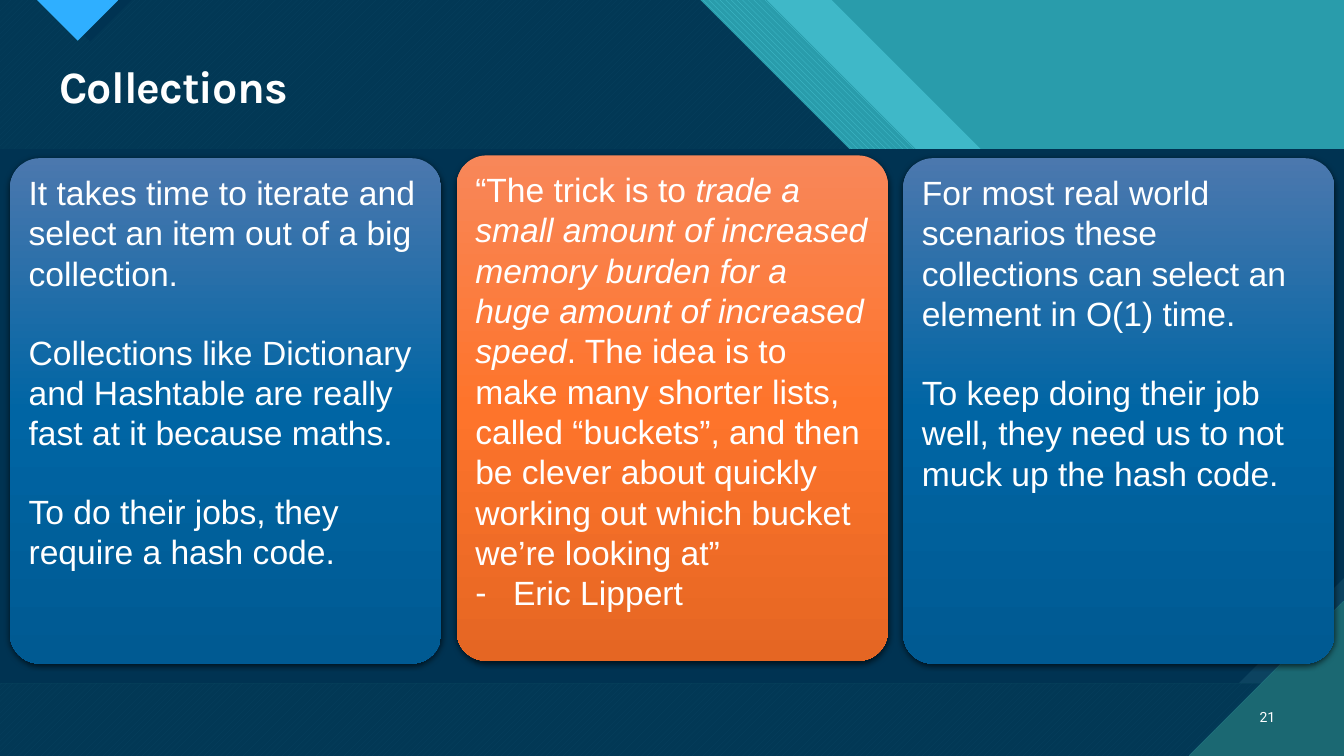
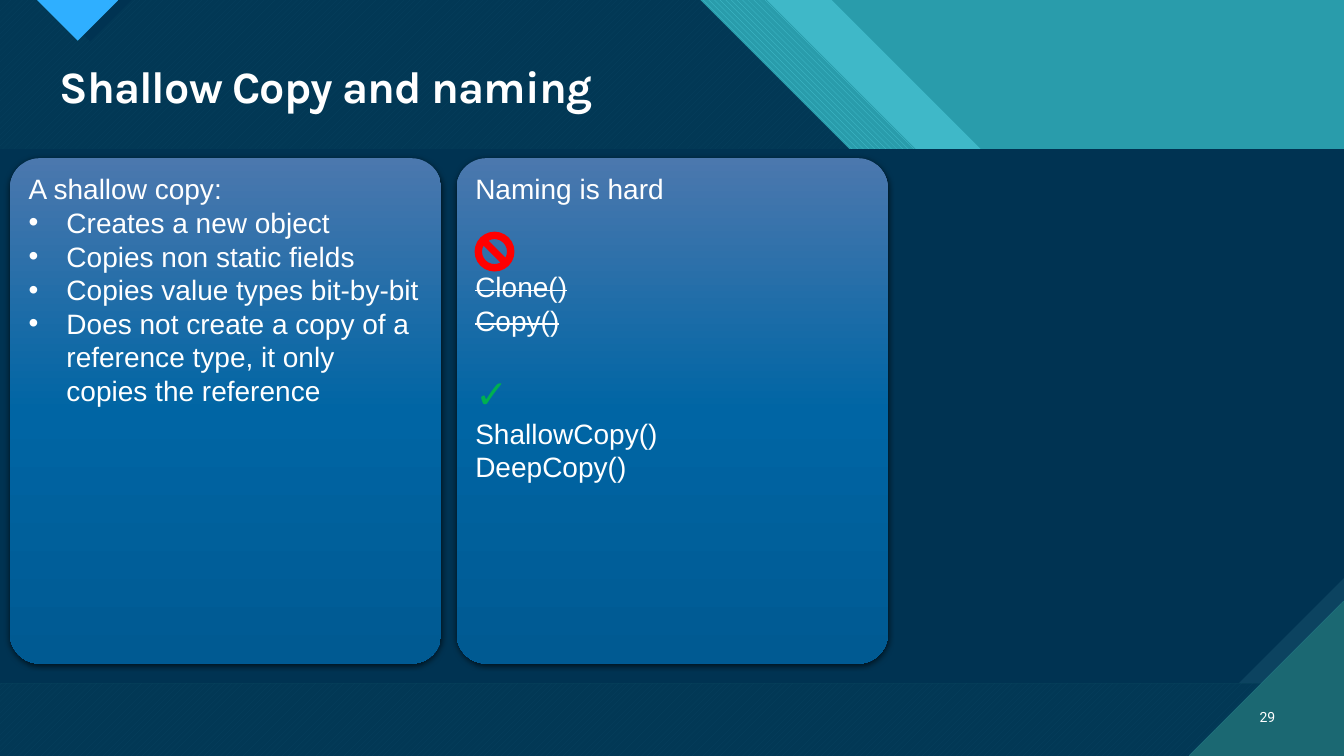
from copy import deepcopy
from dataclasses import dataclass

from lxml import etree
from pptx import Presentation
from pptx.dml.color import RGBColor
from pptx.enum import dml, shapes, text
from pptx.oxml import ns
from pptx.util import Pt

WIDTH, HEIGHT = 960, 540
NAVY = RGBColor(0x00, 0x33, 0x52)
SLATE = RGBColor(0x0C, 0x43, 0x60)
TEAL = RGBColor(0x29, 0x9C, 0xAB)
AQUA = RGBColor(0x47, 0xC3, 0xD3)
DEEP_TEAL = RGBColor(0x1B, 0x68, 0x72)
SKY = RGBColor(0x2F, 0xAF, 0xFF)
WHITE = RGBColor(0xFF, 0xFF, 0xFF)
RED = RGBColor(0xFF, 0x00, 0x00)
GREEN = RGBColor(0x00, 0xB0, 0x50)
BLUE_FADE = (RGBColor(0x4B, 0x78, 0xAE), RGBColor(0x00, 0x65, 0xA4), RGBColor(0x00, 0x5A, 0x92))
ORANGE_FADE = (RGBColor(0xF8, 0x87, 0x59), RGBColor(0xFE, 0x74, 0x2B), RGBColor(0xE5, 0x66, 0x23))

BAND_TOP, BAND_HEIGHT = 106.5, 381.5
CARD_LEFT, CARD_TOP, CARD_STEP = 7.2, 113, 319
CARD_WIDTH, CARD_HEIGHT = 308, 361
BULLET_INDENT = 27
LINE_RATIO = 1.15  # height of an Arial line relative to its size


@dataclass
class Para:
    runs: list
    lines_before: int = 0
    bullet: str = ""


def add_element(parent, tag, **attributes):
    return etree.SubElement(parent, ns.qn(tag), attributes)


def paint(shape, color, alpha=None):
    shape.shadow.inherit = False
    shape.line.fill.background()
    shape.fill.solid()
    shape.fill.fore_color.rgb = color
    if alpha:
        rgb = shape._element.spPr.find(".//" + ns.qn("a:srgbClr"))
        add_element(rgb, "a:alpha", val=str(alpha * 1000))


def paint_pattern(shape, pattern, fore, back):
    shape.shadow.inherit = False
    shape.line.fill.background()
    shape.fill.patterned()
    shape.fill.pattern = pattern
    shape.fill.fore_color.rgb = fore
    shape.fill.back_color.rgb = back


def paint_fade(shape, colors):
    """Fill from top to bottom through three evenly spaced colours."""
    shape.line.fill.background()
    shape.fill.gradient()
    shape.fill.gradient_angle = 270
    stops = shape._element.spPr.find(".//" + ns.qn("a:gsLst"))
    stops.insert(1, deepcopy(stops[0]))
    for stop, position, color in zip(shape.fill.gradient_stops, (0, 0.5, 1), colors):
        stop.position = position
        stop.color.rgb = color


def drop_shadow(shape):
    shape.shadow.inherit = False
    effects = shape._element.spPr.find(ns.qn("a:effectLst"))
    shadow = add_element(effects, "a:outerShdw", blurRad=str(Pt(4.5)), dist=str(Pt(1.5)),
                         dir="5400000", rotWithShape="0")
    add_element(add_element(shadow, "a:srgbClr", val="000000"), "a:alpha", val="63000")


def add_preset(slide, kind, left, top, width, height):
    return slide.shapes.add_shape(kind, Pt(left), Pt(top), Pt(width), Pt(height))


def add_polygon(slide, *points):
    corners = [(Pt(x), Pt(y)) for x, y in points]
    builder = slide.shapes.build_freeform(*corners[0])
    builder.add_line_segments(corners[1:], close=True)
    return builder.convert_to_shape()


def add_slanted(slide, edge):
    """Cover the slide left of a 45 degree line that starts at edge on top."""
    return add_polygon(slide, (0, 0), (edge, 0), (WIDTH, WIDTH - edge), (WIDTH, HEIGHT), (0, HEIGHT))


def add_run(paragraph, words, size, font="Arial", color=WHITE, bold=False, italic=False,
            strike=False, spacing=0):
    run = paragraph.add_run()
    run.text = words
    run.font.name = font
    run.font.size = Pt(size)
    run.font.color.rgb = color
    run.font.bold = bold
    run.font.italic = italic
    properties = run._r.get_or_add_rPr()
    if strike:
        properties.set("strike", "sngStrike")
    if spacing:
        properties.set("spc", str(round(spacing * 100)))


def add_bullet(paragraph, mark):
    properties = paragraph._p.get_or_add_pPr()
    properties.set("marL", str(Pt(BULLET_INDENT)))
    properties.set("indent", str(Pt(-BULLET_INDENT)))
    add_element(properties, "a:buFont", typeface="Arial")
    add_element(properties, "a:buChar", char=mark)


def add_label(slide, left, top, width, height):
    """Add a wrapping text box and return its frame."""
    frame = slide.shapes.add_textbox(Pt(left), Pt(top), Pt(width), Pt(height)).text_frame
    frame.word_wrap = True
    return frame


def add_card(slide, column, size, paras, colors=BLUE_FADE, top=CARD_TOP):
    card = add_preset(slide, shapes.MSO_SHAPE.ROUNDED_RECTANGLE,
                      CARD_LEFT + column * CARD_STEP, top, CARD_WIDTH, CARD_HEIGHT)
    card.adjustments[0] = 0.069
    paint_fade(card, colors)
    drop_shadow(card)
    frame = card.text_frame
    frame.word_wrap = True
    frame.vertical_anchor = text.MSO_ANCHOR.TOP
    for index, para in enumerate(paras):
        paragraph = frame.add_paragraph() if index else frame.paragraphs[0]
        paragraph.alignment = text.PP_ALIGN.LEFT
        if para.lines_before:
            paragraph.space_before = Pt(para.lines_before * size * LINE_RATIO)
        if para.bullet:
            add_bullet(paragraph, para.bullet)
        for words, style in para.runs:
            add_run(paragraph, words, **{"size": size, **style})


def add_backdrop(slide):
    pattern = dml.MSO_PATTERN
    paint(add_preset(slide, shapes.MSO_SHAPE.RECTANGLE, 0, 0, WIDTH, HEIGHT), TEAL)
    paint(add_slanted(slide, 594), AQUA, alpha=74)
    paint_pattern(add_slanted(slide, 547.5), pattern.WIDE_DOWNWARD_DIAGONAL, AQUA, TEAL)
    paint_pattern(add_slanted(slide, 500), pattern.WIDE_UPWARD_DIAGONAL, AQUA, DEEP_TEAL)
    paint(add_slanted(slide, 500), NAVY, alpha=90)

    paint(add_polygon(slide, (35, 0), (94, 0), (64.5, 29.5)), NAVY)
    paint_pattern(add_polygon(slide, (26.5, 0), (84.5, 0), (55.5, 29)),
                  pattern.DARK_HORIZONTAL, SKY, DEEP_TEAL)

    band = (0, BAND_TOP, WIDTH, BAND_HEIGHT)
    paint_pattern(add_preset(slide, shapes.MSO_SHAPE.RECTANGLE, *band),
                  pattern.DARK_VERTICAL, SLATE, DEEP_TEAL)
    snipped_band = add_preset(slide, shapes.MSO_SHAPE.SNIP_1_RECTANGLE, *band)
    snipped_band.adjustments[0] = 0.197
    snipped_band._element.spPr.xfrm.set("flipV", "1")
    paint(snipped_band, NAVY)

    corner = 111
    paint_pattern(add_polygon(slide, (WIDTH - corner, HEIGHT), (WIDTH, HEIGHT), (WIDTH, HEIGHT - corner)),
                  pattern.DARK_HORIZONTAL, DEEP_TEAL, AQUA)


def add_page(deck, title, number):
    slide = deck.slides.add_slide(deck.slide_layouts[6])
    add_backdrop(slide)
    heading = add_label(slide, 35.5, 42.5, 883, 42.5).paragraphs[0]
    heading.line_spacing = 0.9
    add_run(heading, title, 32, font="Karla", bold=True, spacing=-0.7)
    footer = add_label(slide, 886.5, 497.5, 31.5, 29)
    footer.vertical_anchor = text.MSO_ANCHOR.MIDDLE
    footer.paragraphs[0].alignment = text.PP_ALIGN.RIGHT
    add_run(footer.paragraphs[0], number, 10, font="Roboto")
    return slide


def plain(words, lines_before=0, bullet="", **style):
    """Make a paragraph of a single run."""
    return Para([(words, style)], lines_before, bullet)


def build_collections(deck):
    slide = add_page(deck, "Collections", "21")
    add_card(slide, 0, 24, [
        plain("It takes time to iterate and select an item out of a big collection."),
        plain("Collections like Dictionary and Hashtable are really fast at it because maths.", 1),
        plain("To do their jobs, they require a hash code.", 1),
    ])
    add_card(slide, 2, 24, [
        plain("For most real world scenarios these collections can select an element in O(1) time."),
        plain("To keep doing their job well, they need us to not muck up the hash code.", 1),
    ])
    add_card(slide, 1, 24, [
        Para([
            ("“The trick is to ", {}),
            ("trade a small amount of increased memory burden for a huge amount of increased speed",
             {"italic": True}),
            (". The idea is to make many shorter lists, called “buckets”, and then be clever "
             "about quickly working out which bucket we’re looking at”", {}),
        ]),
        plain("Eric Lippert", bullet="-"),
    ], ORANGE_FADE, top=111)


def build_shallow_copy(deck):
    slide = add_page(deck, "Shallow Copy and naming", "29")
    facts = (
        "Creates a new object",
        "Copies non static fields",
        "Copies value types bit-by-bit",
        "Does not create a copy of a reference type, it only copies the reference",
    )
    add_card(slide, 0, 20, [plain("A shallow copy:"), *(plain(fact, bullet="•") for fact in facts)])
    add_card(slide, 1, 20, [
        plain("Naming is hard"),
        plain("Clone()", 2, strike=True),
        plain("Copy()", strike=True),
        plain("✓", 1, size=28, color=GREEN, bold=True),
        plain("ShallowCopy()"),
        plain("DeepCopy()"),
    ])
    paint(add_preset(slide, shapes.MSO_SHAPE.NO_SYMBOL, 339, 165.5, 28.5, 28.5), RED)


def main():
    deck = Presentation()
    deck.slide_width, deck.slide_height = Pt(WIDTH), Pt(HEIGHT)
    build_collections(deck)
    build_shallow_copy(deck)
    deck.save("out.pptx")


if __name__ == "__main__":
    main()
